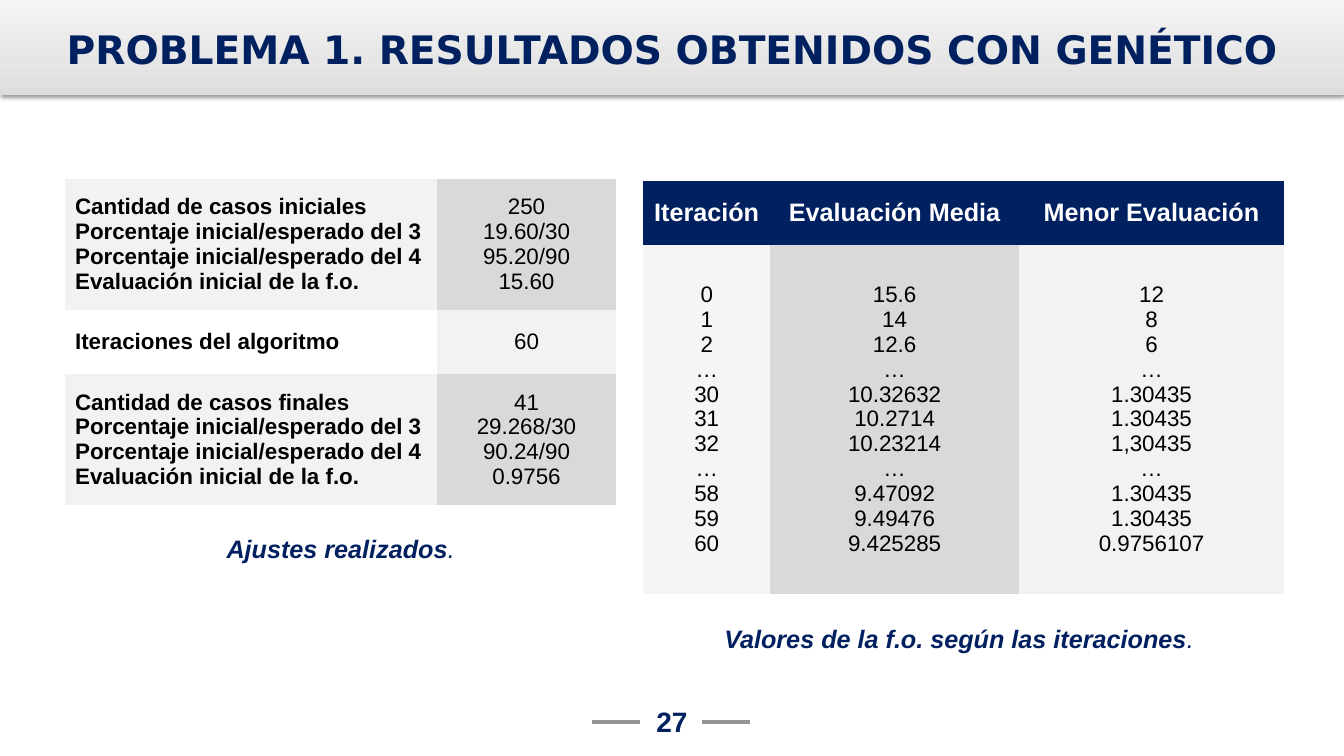
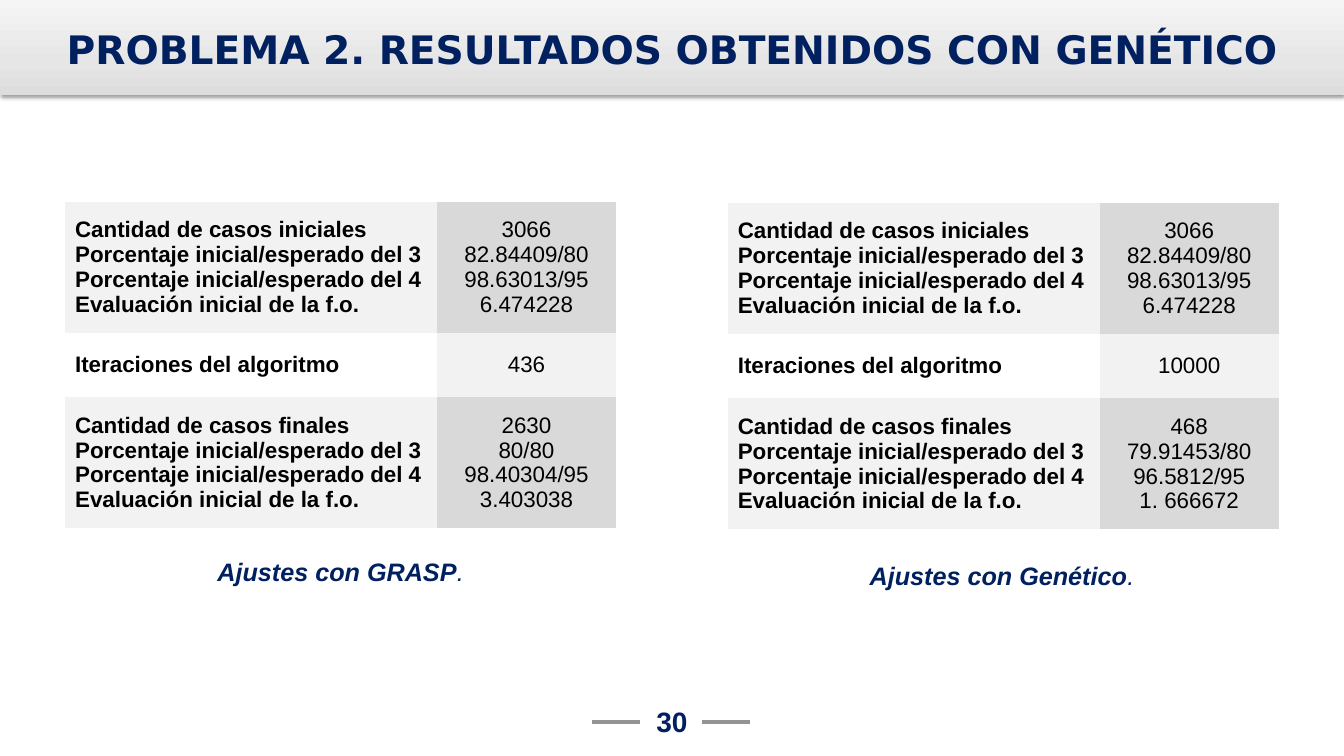
"""Build two slides of result tables for the adjustment algorithms."""
from lxml.etree import SubElement
from pptx import Presentation
from pptx.dml.color import RGBColor
from pptx.enum.shapes import MSO_CONNECTOR as Connector, MSO_SHAPE as Shape
from pptx.enum.text import MSO_ANCHOR as Anchor, MSO_AUTO_SIZE as AutoSize, PP_ALIGN as Align
from pptx.oxml import parse_xml
from pptx.oxml.ns import nsdecls, qn
from pptx.util import Cm, Pt

NAVY, BLACK, WHITE = "002060", "000000", "FFFFFF"
PALE, SILVER, FAINT, RULE = "F2F2F2", "D9D9D9", "F5F5F5", "949494"
PLAIN_TABLE = "{2D5ABB26-0587-4C30-8999-92F81FD0307C}"
WIDTH, HEIGHT = 33.87, 19.05
CAPTION_HEIGHT = 1.02

TITLE = {"name": "DejaVu Sans", "size": Pt(28), "bold": True, "color": NAVY}
NUMBER = {"name": "Arial", "size": Pt(20), "bold": True, "color": NAVY}
CAPTION = {"name": "Arial", "size": Pt(18), "bold": True, "italic": True, "color": NAVY}
STOP = CAPTION | {"bold": False}
HEADER = {"name": "Arial", "size": Pt(18), "bold": True, "color": WHITE}
LABEL = {"name": "Arial", "size": Pt(16), "bold": True, "color": BLACK}
VALUE = LABEL | {"bold": False}

BAND_FILL = f"""<a:gradFill {nsdecls("a")} rotWithShape="1"><a:gsLst>
<a:gs pos="0"><a:srgbClr val="DDDDDD"/></a:gs>
<a:gs pos="35000"><a:srgbClr val="E6E6E6"/></a:gs>
<a:gs pos="100000"><a:srgbClr val="F5F5F5"/></a:gs>
</a:gsLst><a:lin ang="16200000" scaled="1"/></a:gradFill>"""
BAND_SHADOW = f"""<a:effectLst {nsdecls("a")}>
<a:outerShdw blurRad="40000" dist="20000" dir="5400000" rotWithShape="0">
<a:srgbClr val="000000"><a:alpha val="38000"/></a:srgbClr></a:outerShdw></a:effectLst>"""

SHARES = [
    "Porcentaje inicial/esperado del 3",
    "Porcentaje inicial/esperado del 4",
    "Evaluación inicial de la f.o.",
]
SETTING_LABELS = [
    ["Cantidad de casos iniciales", *SHARES],
    ["Iteraciones del algoritmo"],
    ["Cantidad de casos finales", *SHARES],
]
SETTINGS = {
    "widths": [9.37, 4.52],
    "heights": [3.3, 1.63, 3.3],
    "fills": [[PALE, SILVER], [WHITE, PALE], [PALE, SILVER]],
    "looks": [[LABEL, VALUE]] * 3,
    "aligns": [Align.LEFT, Align.CENTER],
}
ITERATIONS = {
    "widths": [3.2, 6.27, 6.68],
    "heights": [1.6, 8.79],
    "fills": [[NAVY] * 3, [FAINT, SILVER, PALE]],
    "looks": [[HEADER] * 3, [VALUE] * 3],
    "aligns": [Align.CENTER] * 3,
}

FIRST_VALUES = [
    ["250", "19.60/30", "95.20/90", "15.60"],
    ["60"],
    ["41", "29.268/30", "90.24/90", "0.9756"],
]
ITERATION_CELLS = [
    [["Iteración"], ["Evaluación Media"], ["Menor Evaluación"]],
    [
        ["0", "1", "2", "…", "30", "31", "32", "…", "58", "59", "60"],
        ["15.6", "14", "12.6", "…", "10.32632", "10.2714", "10.23214", "…",
         "9.47092", "9.49476", "9.425285"],
        ["12", "8", "6", "…", "1.30435", "1.30435", "1,30435", "…",
         "1.30435", "1.30435", "0.9756107"],
    ],
]
SECOND_START = ["3066", "82.84409/80", "98.63013/95", "6.474228"]
GRASP_VALUES = [SECOND_START, ["436"], ["2630", "80/80", "98.40304/95", "3.403038"]]
GENETIC_VALUES = [SECOND_START, ["10000"], ["468", "79.91453/80", "96.5812/95", "1. 666672"]]

PAGES = [
    {
        "title": "PROBLEMA 1. RESULTADOS OBTENIDOS CON GENÉTICO",
        "number": "27",
        "tables": [
            (SETTINGS, 1.64, 4.5, list(zip(SETTING_LABELS, FIRST_VALUES))),
            (ITERATIONS, 16.21, 4.57, ITERATION_CELLS),
        ],
        "captions": [
            ("Ajustes realizados", 1.65, 13.31, 13.87),
            ("Valores de la f.o. según las iteraciones", 16.13, 15.57, 16.08),
        ],
    },
    {
        "title": "PROBLEMA 2. RESULTADOS OBTENIDOS CON GENÉTICO",
        "number": "30",
        "tables": [
            (SETTINGS, 1.64, 5.08, list(zip(SETTING_LABELS, GRASP_VALUES))),
            (SETTINGS, 18.34, 5.11, list(zip(SETTING_LABELS, GENETIC_VALUES))),
        ],
        "captions": [
            ("Ajustes con GRASP", 1.65, 13.89, 13.87),
            ("Ajustes con Genético", 18.29, 14, 13.92),
        ],
    },
]


def paint(target, code):
    """Give a colour format the colour of a hex string."""
    target.rgb = RGBColor.from_string(code)


def write(para, text, look, align=Align.CENTER):
    """Add one formatted span to a paragraph."""
    para.alignment = align
    span = para.add_run()
    span.text = text
    for name, value in look.items():
        if name == "color":
            paint(span.font.color, value)
        else:
            setattr(span.font, name, value)


deck = Presentation()
deck.slide_width, deck.slide_height = Cm(WIDTH), Cm(HEIGHT)

for content in PAGES:
    page = deck.slides.add_slide(deck.slide_layouts[5])
    shapes = page.shapes

    band = shapes.add_shape(Shape.RECTANGLE, 0, 0, Cm(WIDTH), Cm(2.4))
    band.line.fill.background()
    outline = band._element.spPr.find(qn("a:ln"))
    outline.addprevious(parse_xml(BAND_FILL))
    outline.addnext(parse_xml(BAND_SHADOW))
    shapes.title._element.addprevious(band._element)

    title = shapes.title
    place = {"left": Cm(0), "top": Cm(0.08), "width": Cm(WIDTH), "height": Cm(2.31)}
    for name, value in place.items():
        setattr(title, name, value)
    frame = title.text_frame
    frame_format = {"vertical_anchor": Anchor.MIDDLE, "word_wrap": True, "auto_size": AutoSize.NONE}
    for side in ("left", "top", "right", "bottom"):
        frame_format[f"margin_{side}"] = Cm(0.13)
    for name, value in frame_format.items():
        setattr(frame, name, value)
    write(frame.paragraphs[0], content["title"], TITLE)

    box = shapes.add_textbox(0, Cm(17.4), Cm(WIDTH), Cm(1.19))
    frame = box.text_frame
    frame_format = {"vertical_anchor": Anchor.BOTTOM, "word_wrap": True}
    for side in ("left", "top", "right", "bottom"):
        frame_format[f"margin_{side}"] = 0
    for name, value in frame_format.items():
        setattr(frame, name, value)
    write(frame.paragraphs[0], content["number"], NUMBER)

    for left in (14.91, 17.68):
        dash = shapes.add_connector(
            Connector.STRAIGHT, Cm(left), Cm(18.19), Cm(left + 1.22), Cm(18.19)
        )
        paint(dash.line.color, RULE)
        dash.line.width = Pt(3)
        SubElement(dash._element.spPr, qn("a:effectLst"))

    for design, left, top, cells in content["tables"]:
        widths, heights = design["widths"], design["heights"]
        table = shapes.add_table(
            len(heights), len(widths), Cm(left), Cm(top), Cm(sum(widths)), Cm(sum(heights))
        ).table
        table.first_row = table.horz_banding = False
        table._tbl.tblPr.find(qn("a:tableStyleId")).text = PLAIN_TABLE
        for column, width in zip(table.columns, widths):
            column.width = Cm(width)
        for r, height in enumerate(heights):
            table.rows[r].height = Cm(height)
            for c, align in enumerate(design["aligns"]):
                cell = table.cell(r, c)
                cell.vertical_anchor = Anchor.MIDDLE
                cell.fill.solid()
                paint(cell.fill.fore_color, design["fills"][r][c])
                frame = cell.text_frame
                for i, line in enumerate(cells[r][c]):
                    para = frame.add_paragraph() if i else frame.paragraphs[0]
                    write(para, line, design["looks"][r][c], align)

    for text, left, top, width in content["captions"]:
        box = shapes.add_textbox(Cm(left), Cm(top), Cm(width), Cm(CAPTION_HEIGHT))
        box.text_frame.word_wrap = True
        para = box.text_frame.paragraphs[0]
        para.space_before = Pt(3.6)
        write(para, text, CAPTION)
        write(para, ".", STOP)

deck.save("out.pptx")
